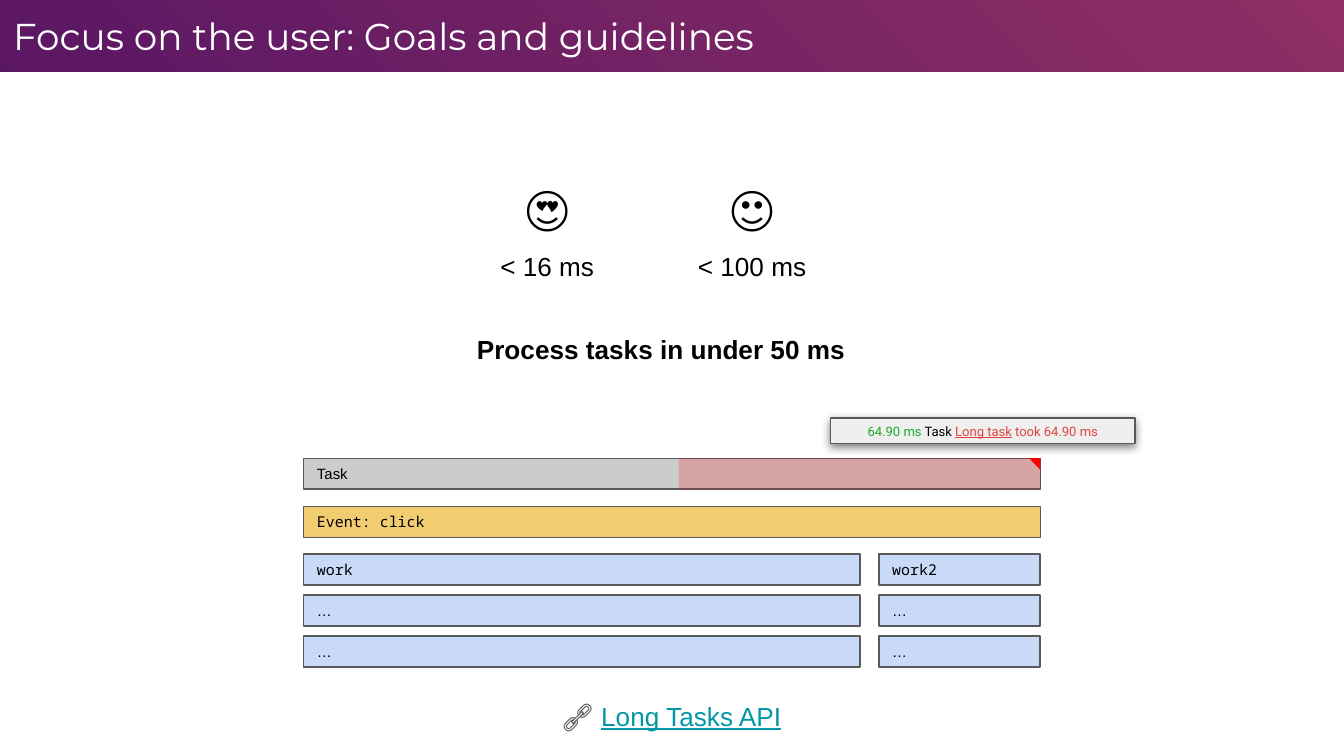
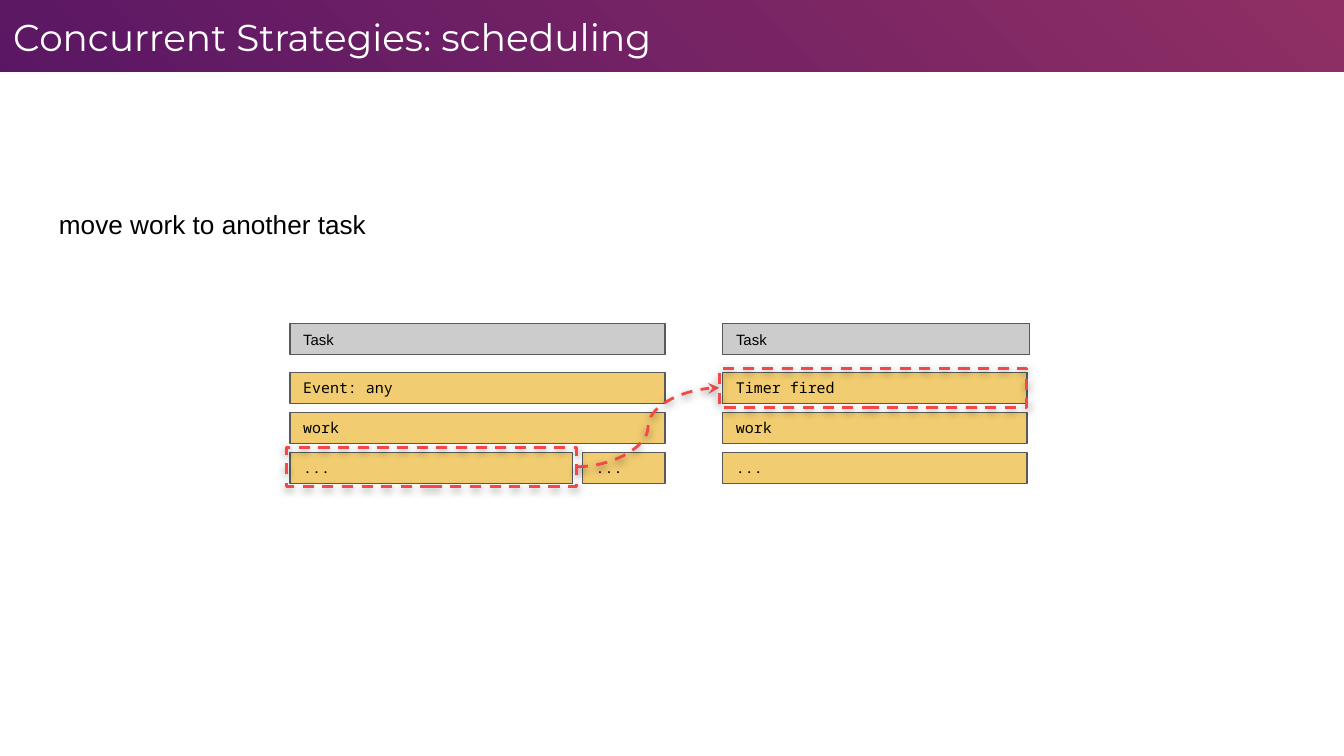
import pptx
import pptx.dml.color
import pptx.enum.dml
import pptx.enum.shapes
import pptx.enum.text
import pptx.oxml
import pptx.util

Pt = pptx.util.Pt
SHAPE = pptx.enum.shapes.MSO_SHAPE
ALIGN = pptx.enum.text.PP_ALIGN
ANCHOR = pptx.enum.text.MSO_ANCHOR
NS = 'xmlns:a="http://schemas.openxmlformats.org/drawingml/2006/main"'

# Shared look
W, H, BAND_H = 720, 405, 38.7
SANS, MONO, TITLE, UI = "Arial", "Noto Sans Mono", "Montserrat", "Roboto"
BLACK, WHITE, GREY, EDGE = "000000", "FFFFFF", "CCCCCC", "595959"
YELLOW, BLUE, RED, DASH_RED = "EFC457", "C9DAF8", "FF0000", "F44747"
BACKDROP = [(0, "F35C65"), (0, "8F2F64"), (64, "5D1864"), (100, "2B0163")]
BAR_H = 16.6


def rgb(hex_color):
    return pptx.dml.color.RGBColor.from_string(hex_color)


def xml(text):
    return pptx.oxml.parse_xml(text)


def set_backdrop(prs):
    """Radial gradient on the master, centred on the top right corner."""
    fill = prs.slide_master.background.fill
    fill.gradient()
    grad = prs.slide_master.element.xpath(".//p:bgPr/a:gradFill")[0]
    stops = "".join(f'<a:gs pos="{pos * 1000}"><a:srgbClr val="{c}"/></a:gs>'
                    for pos, c in BACKDROP)
    grad.getparent().replace(grad, xml(
        f'<a:gradFill {NS}><a:gsLst>{stops}</a:gsLst><a:path path="circle">'
        '<a:fillToRect l="100000" b="100000"/></a:path><a:tileRect/></a:gradFill>'))


def set_effect(sp, shadow):
    """Give a shape or connector a soft shadow, or none; call after the line is set."""
    inner = ""
    if shadow:
        inner = (f'<a:outerShdw blurRad="{Pt(4.5)}" dist="{Pt(1.5)}" dir="5400000" '
                 'algn="bl" rotWithShape="0"><a:srgbClr val="000000">'
                 '<a:alpha val="50000"/></a:srgbClr></a:outerShdw>')
    sp._element.spPr.append(xml(f"<a:effectLst {NS}>{inner}</a:effectLst>"))


def set_line(line, color, width, dashed=False):
    line.color.rgb = rgb(color)
    line.width = Pt(width)
    if dashed:
        line.dash_style = pptx.enum.dml.MSO_LINE.DASH


def write(sp, runs, align=ALIGN.LEFT, anchor=ANCHOR.TOP):
    """Fill a shape with runs of (text, size, font, colour, extra font settings)."""
    tf = sp.text_frame
    tf.word_wrap = True
    tf.vertical_anchor = anchor
    tf.margin_left = tf.margin_right = tf.margin_top = tf.margin_bottom = Pt(7.2)
    p = tf.paragraphs[0]
    p.alignment = align
    for text, size, font, color, extra in runs:
        r = p.add_run()
        r.text = text
        r.font.size, r.font.name = Pt(size), font
        r.font.color.rgb = rgb(color)
        for key, value in extra.items():
            setattr(r.font, key, value)
    return p


def run(text, size=14, font=SANS, color=BLACK, **extra):
    return text, size, font, color, extra


def add_text(s, x, y, w, h, runs, align=ALIGN.LEFT):
    sp = s.shapes.add_textbox(Pt(x), Pt(y), Pt(w), Pt(h))
    return write(sp, runs, align)


def add_box(s, x, y, w, h, fill=None, alpha=100, line=None, width=0.75,
            dashed=False, shadow=False, kind=SHAPE.RECTANGLE):
    sp = s.shapes.add_shape(kind, Pt(x), Pt(y), Pt(w), Pt(h))
    if fill:
        sp.fill.solid()
        sp.fill.fore_color.rgb = rgb(fill)
        if alpha < 100:
            color = sp._element.xpath("p:spPr/a:solidFill/a:srgbClr")[0]
            color.append(xml(f'<a:alpha {NS} val="{alpha * 1000}"/>'))
    else:
        sp.fill.background()
    if line:
        set_line(sp.line, line, width, dashed)
    else:
        sp.line.fill.background()
    set_effect(sp, shadow)
    return sp


def add_bar(s, x, y, w, text, fill, font=MONO):
    alpha = 85 if fill == YELLOW else 100
    sp = add_box(s, x, y, w, BAR_H, fill, alpha, EDGE)
    write(sp, [run(text, 8, font)], anchor=ANCHOR.MIDDLE)


def add_highlight(s, x, y, w):
    add_box(s, x, y, w, 20.8, line=DASH_RED, width=1.5, dashed=True, shadow=True)


def add_curved_arrow(s, x1, y1, x2, y2):
    cn = s.shapes.add_connector(pptx.enum.shapes.MSO_CONNECTOR.CURVE,
                                Pt(x1), Pt(y1), Pt(x2), Pt(y2))
    set_line(cn.line, DASH_RED, 1.5, dashed=True)
    cn.line._get_or_add_ln().append(xml(f'<a:tailEnd {NS} type="stealth"/>'))
    set_effect(cn, True)


def add_slide(prs, *title):
    s = prs.slides.add_slide(prs.slide_layouts[6])
    add_box(s, 0, BAND_H, W, H - BAND_H, WHITE)
    add_text(s, 0, 0, 648.7, BAND_H,
             [run(text, size, TITLE, WHITE) for text, size in title])
    return s


def build_goals(prs):
    s = add_slide(prs, ("Focus on the user: Goals and guidelines", 20))

    # Response time goals
    for mood, center, limit in [("😍", 293.2, "< 16 ms"), ("🙂", 402.9, "< 100 ms")]:
        p = add_text(s, center - 32, 82.8, 64, 46, [run(mood, 26)], ALIGN.CENTER)
        p.line_spacing = 1.15
        p.space_after = Pt(8)
        add_text(s, center - 50, 126.7, 100, 31.7, [run(limit)], ALIGN.CENTER)
    add_text(s, 242.6, 171.4, 223.2, 31.7,
             [run("Process tasks in under 50 ms", bold=True)], ALIGN.CENTER)

    # Call stack of one long task
    left, right, full, task_y = 162.7, 557.3, 394.6, 245.5
    add_bar(s, left, task_y, full, "Task", GREY, SANS)
    for x, w, name in [(left, 298.1, "work"), (470.9, 86.4, "work2")]:
        for i, text in enumerate([name, "…", "…"]):
            add_bar(s, x, 296.8 + 22 * i, w, text, BLUE, SANS if i else MONO)
    add_bar(s, left, 271.3, full, "Event: click", YELLOW)

    # Overrun and its warning
    add_box(s, 363.6, task_y, right - 363.6, BAR_H, RED, alpha=19)
    corner = add_box(s, right - 6, task_y, 6, 6.2, RED, kind=SHAPE.RIGHT_TRIANGLE)
    corner.rotation = 180
    tip = add_box(s, 445, 224, 163, 13.7, "EFEFEF", line=EDGE, shadow=True)
    alert = "E0443E"
    write(tip, [run("64.90 ms", 7, UI, "1AAB29"), run(" Task ", 7, UI),
                run("Long task", 7, UI, alert, underline=True),
                run(" took 64.90 ms", 7, UI, alert)], ALIGN.CENTER, ANCHOR.MIDDLE)

    add_text(s, 241.9, 365.8, 236.2, 33.8,
             [run("🔗 ", 16, color=EDGE),
              run("Long Tasks API", color="0097A7", underline=True)], ALIGN.CENTER)


def build_scheduling(prs):
    s = add_slide(prs, ("Concurrent Strategies: ", 20), ("scheduling", 20.2))

    # Two tasks: a grey header each, then rows of work
    left, right, task_y = 155.3, 387.2, 173.4
    row_y = [199.5 + 21.4 * i for i in range(3)]
    for x, header_w, w, rows in [
            (left, 200.9, [200.9, 200.9, 151.4], ["Event: any", "work", "..."]),
            (right, 164.5, [163] * 3, ["Timer fired", "work", "..."])]:
        add_bar(s, x, task_y, header_w, "Task", GREY, SANS)
        for y, bar_w, text in zip(row_y, w, rows):
            add_bar(s, x, y, bar_w, text, YELLOW)
    add_bar(s, 312, row_y[2], 44.2, "...", YELLOW)

    # Work moved from the first task to the second
    add_curved_arrow(s, 309, 250.1, 385.3, 207.8)
    add_highlight(s, 385.3, 197.4, 164.8)
    add_highlight(s, 153.5, 239.7, 155.5)

    add_text(s, 24.5, 104.4, 200.9, 31.7, [run("move work to another task")])


def main():
    prs = pptx.Presentation()
    prs.slide_width, prs.slide_height = Pt(W), Pt(H)
    set_backdrop(prs)
    build_goals(prs)
    build_scheduling(prs)
    prs.save("out.pptx")


if __name__ == "__main__":
    main()
